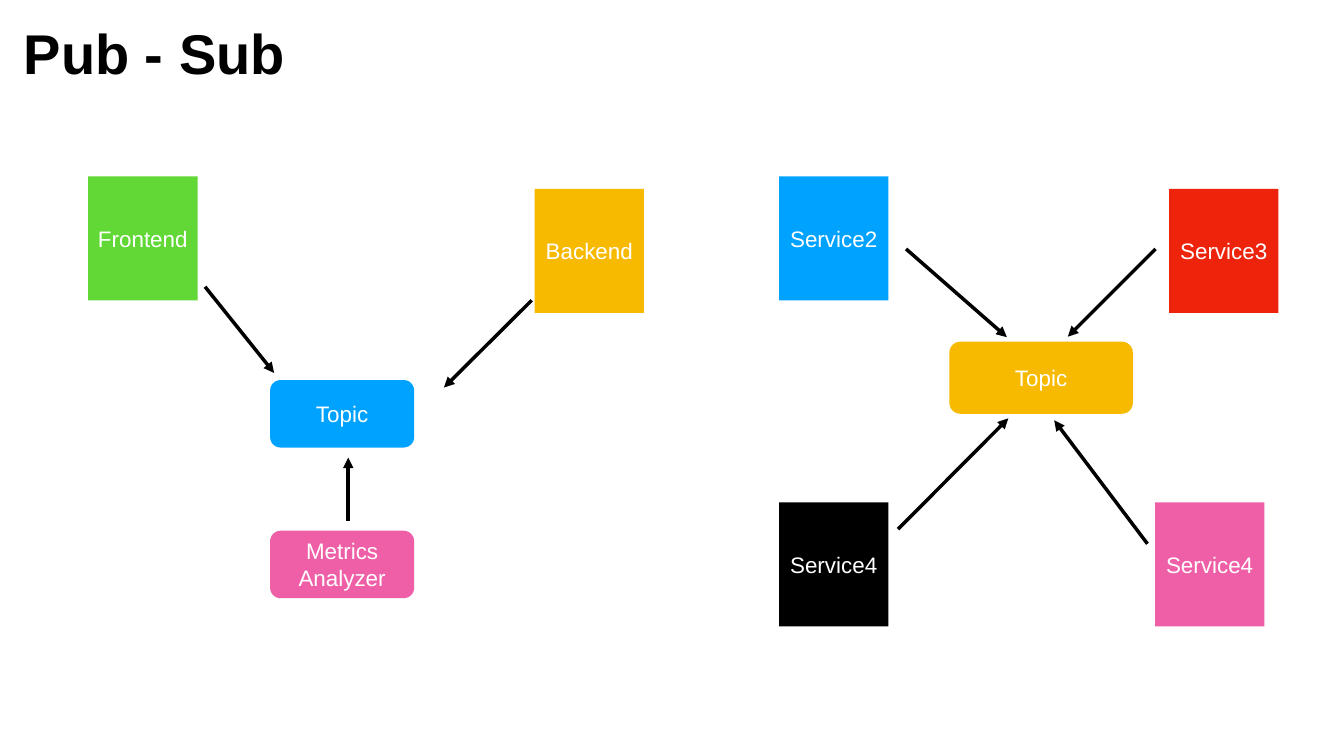
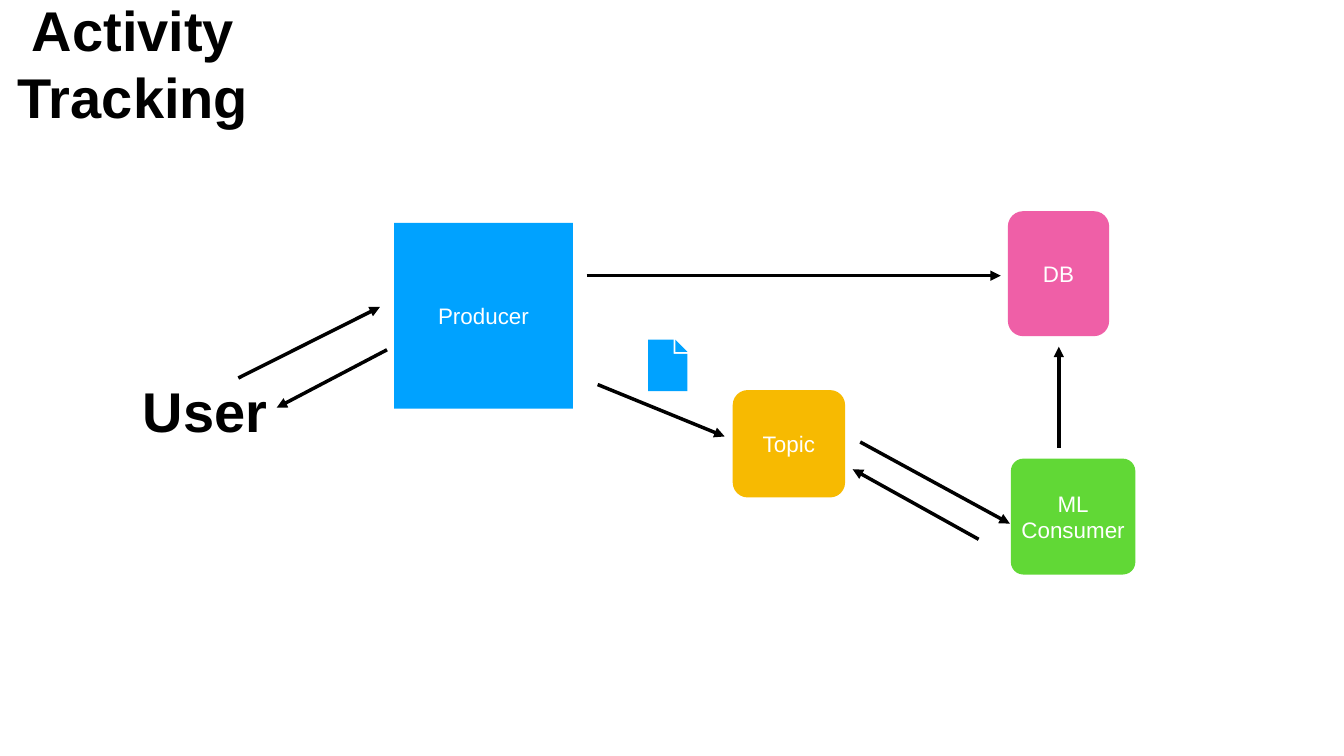
"""Build two message-topic diagrams: Pub - Sub and Activity Tracking."""
from dataclasses import dataclass

from lxml import etree
from pptx import Presentation
from pptx.dml.color import RGBColor
from pptx.enum.shapes import MSO_CONNECTOR, MSO_SHAPE
from pptx.enum.text import MSO_ANCHOR, MSO_AUTO_SIZE, PP_ALIGN
from pptx.oxml.ns import qn
from pptx.util import Inches, Pt

RECTANGLE, ROUNDED = MSO_SHAPE.RECTANGLE, MSO_SHAPE.ROUNDED_RECTANGLE
STRAIGHT = MSO_CONNECTOR.STRAIGHT
MIDDLE = MSO_ANCHOR.MIDDLE
CENTER = PP_ALIGN.CENTER
NO_AUTOFIT = MSO_AUTO_SIZE.NONE


@dataclass(frozen=True)
class Theme:
    font: str = "Arial"
    title_size: int = 80
    label_size: int = 32
    arrow_width: int = 5
    black: str = "000000"
    white: str = "FFFFFF"
    blue: str = "00A2FF"
    green: str = "61D836"
    yellow: str = "F7BA01"
    red: str = "EE230C"
    pink: str = "EF5FA7"


theme = Theme()


def write_text(shape, text, size, color, bold=False, wrap=True):
    """Fill a shape with centred text, one paragraph per line."""
    frame = shape.text_frame
    frame.auto_size = NO_AUTOFIT
    frame.word_wrap = wrap
    frame.vertical_anchor = MIDDLE
    frame.margin_left = frame.margin_right = 0
    frame.margin_top = frame.margin_bottom = 0
    frame.text = text
    for paragraph in frame.paragraphs:
        paragraph.alignment = CENTER
        paragraph.font.name = theme.font
        paragraph.font.size = Pt(size)
        paragraph.font.bold = bold
        paragraph.font.color.rgb = RGBColor.from_string(color)


def paint(shape, color):
    """Give a shape a flat fill with no outline or shadow."""
    shape.shadow.inherit = False
    shape.fill.solid()
    shape.fill.fore_color.rgb = RGBColor.from_string(color)
    shape.line.fill.background()


service_size = (2.17, 2.46)
topic_size = (2.86, 1.34)

diagrams = [
    {
        "title": ("Pub - Sub", (0.4, 0.31, 5.33, 1.43)),
        "boxes": [
            ("Frontend", (1.75, 3.5, *service_size), theme.green, None),
            ("Backend", (10.61, 3.75, *service_size), theme.yellow, None),
            ("Topic", (5.36, 7.54, *topic_size), theme.blue, 0.156),
            ("Metrics\nAnalyzer", (5.36, 10.53, *topic_size), theme.pink, 0.156),
            ("Service2", (15.46, 3.5, *service_size), theme.blue, None),
            ("Service3", (23.2, 3.75, *service_size), theme.red, None),
            ("Service4", (22.92, 9.97, *service_size), theme.pink, None),
            ("Service4", (15.46, 9.97, *service_size), theme.black, None),
            ("Topic", (18.84, 6.78, 3.64, 1.43), theme.yellow, 0.15),
        ],
        "arrows": [
            (4.07, 5.69, 5.44, 7.4),
            (6.91, 10.33, 6.91, 9.08),
            (10.55, 5.96, 8.81, 7.69),
            (22.93, 4.94, 21.19, 6.68),
            (17.98, 4.94, 19.98, 6.69),
            (17.82, 10.5, 20.01, 8.3),
            (22.77, 10.79, 20.92, 8.34),
        ],
    },
    {
        "title": ("Activity Tracking", (0.24, 0, 4.8, 2.5)),
        "boxes": [
            ("Producer", (7.82, 4.42, 3.55, 3.69), theme.blue, None),
            ("Topic", (14.54, 7.74, 2.23, 2.13), theme.yellow, 0.139),
            ("ML\nConsumer", (20.06, 9.1, 2.47, 2.3), theme.green, 0.107),
            ("DB", (20, 4.19, 2.01, 2.48), theme.pink, 0.15),
        ],
        "arrows": [
            (11.86, 7.63, 14.38, 8.66),
            (19.42, 10.7, 16.92, 9.31),
            (11.64, 5.47, 19.86, 5.47),
            (21.01, 8.88, 21.01, 6.88),
            (17.07, 8.77, 20.04, 10.39),
            (4.73, 7.5, 7.54, 6.09),
            (7.68, 6.94, 5.49, 8.09),
        ],
    },
]

presentation = Presentation()
presentation.slide_width = Inches(26.67)
presentation.slide_height = Inches(15)
title_only = presentation.slide_layouts[5]

for diagram in diagrams:
    slide = presentation.slides.add_slide(title_only)
    title = slide.shapes.title
    title_text, title_area = diagram["title"]
    title.left, title.top, title.width, title.height = map(Inches, title_area)
    write_text(title, title_text, theme.title_size, theme.black, bold=True)

    for label, area, color, corner in diagram["boxes"]:
        preset = ROUNDED if corner else RECTANGLE
        box = slide.shapes.add_shape(preset, *map(Inches, area))
        if corner:
            box.adjustments[0] = corner
        paint(box, color)
        write_text(box, label, theme.label_size, theme.white)

    for ends in diagram["arrows"]:
        arrow = slide.shapes.add_connector(STRAIGHT, *map(Inches, ends))
        arrow.line.width = Pt(theme.arrow_width)
        arrow.line.color.rgb = RGBColor.from_string(theme.black)
        properties = arrow.element.spPr
        line = properties.find(qn("a:ln"))
        etree.SubElement(line, qn("a:tailEnd"), type="triangle")
        etree.SubElement(properties, qn("a:effectLst"))

user = slide.shapes.add_textbox(*map(Inches, (2.76, 7.42, 2.62, 1.43)))
write_text(user, "User", theme.title_size, theme.black, bold=True, wrap=False)

page_outline = [(12.86, 6.74), (12.86, 7.76), (13.64, 7.76), (13.64, 7.02),
                (13.37, 7.02), (13.37, 6.74)]
folded_corner = [(13.4, 6.74), (13.4, 6.98), (13.64, 6.98)]
page_points, corner_points = (
    [(Inches(x), Inches(y)) for x, y in outline]
    for outline in (page_outline, folded_corner)
)
builder = slide.shapes.build_freeform(*page_points[0])
builder.add_line_segments(page_points[1:], close=True)
builder.move_to(*corner_points[0])
builder.add_line_segments(corner_points[1:], close=True)
paint(builder.convert_to_shape(), theme.blue)

presentation.save("out.pptx")
